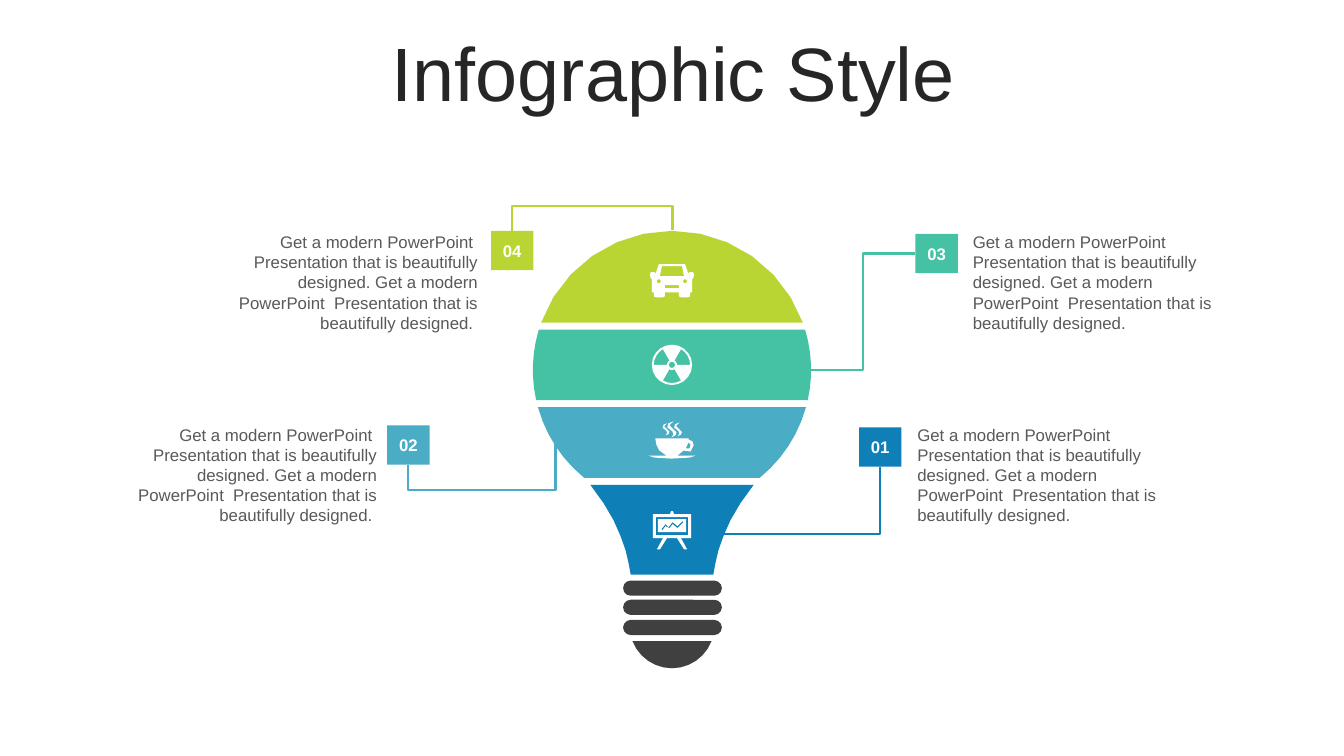
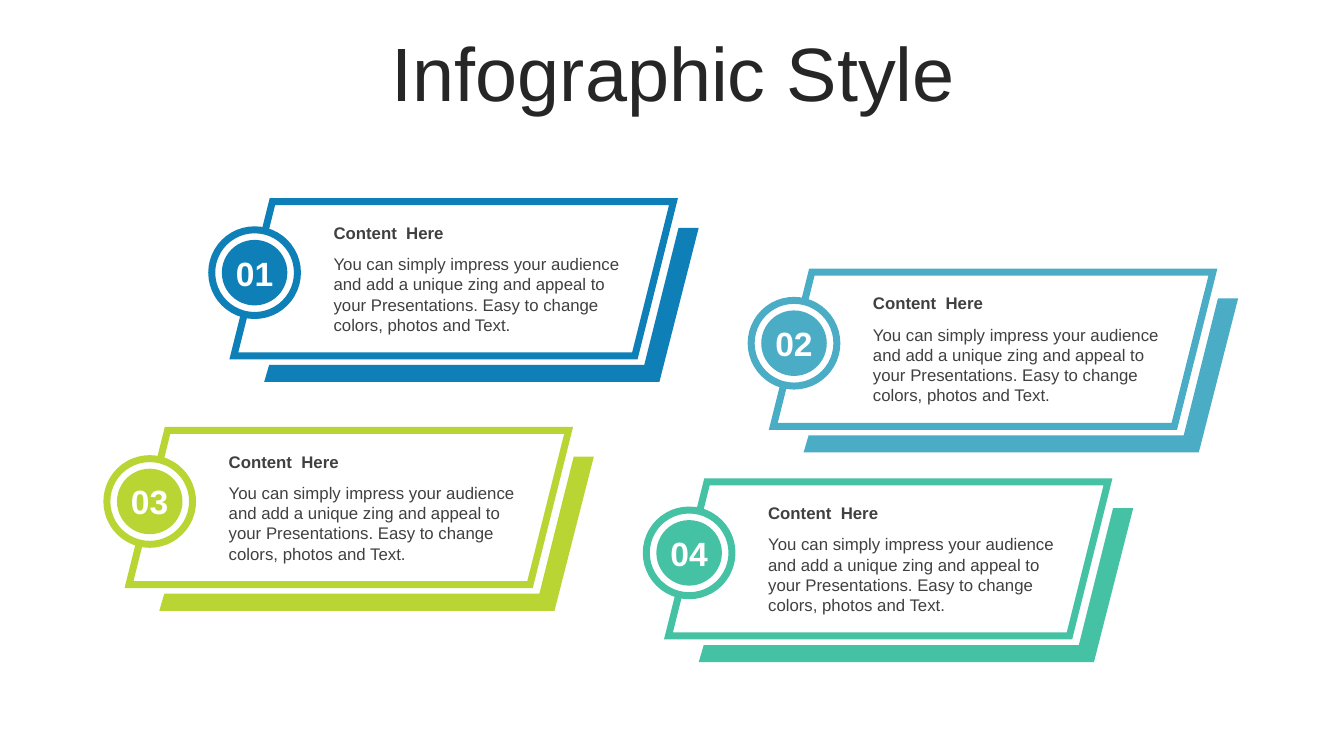
from math import asin, cos, pi, radians, sin

from lxml import etree
from pptx import Presentation
from pptx.dml.color import RGBColor
from pptx.enum import shapes as kinds, text as txt
from pptx.oxml.ns import qn
from pptx.util import Inches, Pt

BLUE = RGBColor(0x0E, 0x7F, 0xB7)
SKY = RGBColor(0x4B, 0xAC, 0xC6)
TEAL = RGBColor(0x45, 0xC1, 0xA4)
LIME = RGBColor(0xB9, 0xD5, 0x33)
WHITE = RGBColor(0xFF, 0xFF, 0xFF)
INK = RGBColor(0x26, 0x26, 0x26)
DARK = RGBColor(0x40, 0x40, 0x40)
GRAY = RGBColor(0x59, 0x59, 0x59)
KIND = kinds.MSO_SHAPE
LEFT, MID, RIGHT = txt.PP_ALIGN.LEFT, txt.PP_ALIGN.CENTER, txt.PP_ALIGN.RIGHT


def write(shape, words, size=12, color=GRAY, bold=False, align=LEFT,
          anchor=txt.MSO_ANCHOR.TOP, inset=None, before=None, space=None):
    frame = shape.text_frame
    frame.word_wrap = True
    frame.vertical_anchor = anchor
    if inset is not None:
        frame.margin_left = frame.margin_right = Inches(inset)
        frame.margin_top = frame.margin_bottom = Inches(inset)
    para = frame.paragraphs[0]
    para.alignment = align
    para.space_before = before
    para.line_spacing = space
    run = para.add_run()
    run.text = words
    run.font.name = "Arial"
    run.font.size = Pt(size)
    run.font.bold = bold
    run.font.color.rgb = color


def paint(shape, fill, edge=None):
    shape.shadow.inherit = False
    shape.fill.solid()
    shape.fill.fore_color.rgb = fill
    if edge is None:
        shape.line.fill.background()
    else:
        shape.line.color.rgb = edge
        shape.line.width = Pt(5)
        ln = shape._element.spPr.find(qn("a:ln"))
        etree.SubElement(ln, qn("a:miter"), lim="800000")
    return shape


deck = Presentation()
deck.slide_width, deck.slide_height = Inches(13.33), Inches(7.5)

# Slides with the shared title
pages = []
for _ in range(2):
    page = deck.slides.add_slide(deck.slide_layouts[6])
    title = page.shapes.add_textbox(
        Inches(0.35), Inches(0.37), Inches(12.66), Inches(0.79))
    write(title, "Infographic Style", size=54, color=INK, align=MID,
          anchor=txt.MSO_ANCHOR.MIDDLE, before=Pt(10), space=0.9)
    pages.append(page.shapes)
bulb, cards = pages

# Bulb outlines: color, halves mirrored about the axis, whole outlines
AXIS = 6.665
STEPS = 6
forms = []
for color, mid, rad, top, low in (
        (LIME, 3.67, 1.38, 2.29, 3.2), (TEAL, 3.67, 1.38, 3.27, 3.97),
        (SKY, 3.67, 1.38, 4.04, 4.74), (DARK, 6.21, 0.42, 6.36, 6.63)):
    start, end = (asin(max(-1, min(1, (y - mid) / rad))) for y in (top, low))
    turns = [start + (end - start) * i / STEPS for i in range(STEPS + 1)]
    forms.append((color, [[(rad * cos(a), mid + rad * sin(a))
                           for a in turns]], []))

neck = [(0.81, 4.81), (0.68, 4.99), (0.58, 5.16), (0.51, 5.32),
        (0.46, 5.46), (0.43, 5.59), (0.41, 5.7)]
forms.append((BLUE, [neck], []))

# Icons
ring = [2 * pi * i / 20 for i in range(20)]
lamps = [[(AXIS + x + 0.02 * cos(a), 2.79 + 0.02 * sin(a)) for a in ring[::2]]
         for x in (-0.13, 0.13)]
car = [(0.13, 2.62), (0.16, 2.71), (0.18, 2.7), (0.21, 2.7), (0.22, 2.73),
       (0.21, 2.76), (0.2, 2.77), (0.2, 2.9), (0.18, 2.9), (0.18, 2.94),
       (0.16, 2.95), (0.09, 2.95), (0.07, 2.94), (0.07, 2.9)]
forms.append((WHITE, [car, [(0.1, 2.64), (0.12, 2.74)],
                      [(0.07, 2.83), (0.07, 2.86)]], lamps))

disc = [[(AXIS + r * cos(a), 3.62 + r * sin(a)) for a in ring]
        for r in (0.2, 0.03)]
for start in (60, 180, 300):
    turns = [radians(start + 15 * i) for i in range(5)]
    disc.append([(AXIS + r * cos(a), 3.62 + r * sin(a))
                 for r, way in ((0.18, 1), (0.05, -1)) for a in turns[::way]])
forms.append((WHITE, [], disc))

cup = [(6.5, 4.35), (6.83, 4.35), (6.83, 4.36), (6.87, 4.38), (6.88, 4.42),
       (6.85, 4.48), (6.78, 4.47), (6.72, 4.52), (6.9, 4.52), (6.84, 4.54),
       (6.66, 4.55), (6.49, 4.54), (6.43, 4.52), (6.61, 4.52), (6.54, 4.47),
       (6.51, 4.41)]
grip = [(6.83, 4.39), (6.8, 4.45), (6.84, 4.45), (6.85, 4.41)]
steam = [(6.68, 4.18), (6.64, 4.22), (6.68, 4.26), (6.71, 4.29), (6.7, 4.32),
         (6.66, 4.34), (6.68, 4.31), (6.67, 4.28), (6.62, 4.24), (6.63, 4.2)]
puffs = [[(6.67 + move + (x - 6.67) * size, 4.26 + (y - 4.26) * size)
          for x, y in steam]
         for move, size in ((-0.06, 0.75), (0, 1), (0.06, 0.85))]
forms.append((WHITE, [], [cup, grip] + puffs))

easel = [(0.01, 5.07), (0.02, 5.1), (0.19, 5.1), (0.19, 5.34), (0.09, 5.34),
         (0.15, 5.45), (0.12, 5.45), (0.05, 5.34)]
trend = [(6.56, 5.25), (6.6, 5.2), (6.63, 5.23), (6.67, 5.18), (6.72, 5.22),
         (6.77, 5.17), (6.78, 5.18), (6.72, 5.24), (6.67, 5.2), (6.64, 5.24),
         (6.6, 5.22), (6.57, 5.26)]
forms.append((WHITE, [easel, [(0.16, 5.13), (0.16, 5.31)],
                      [(0.14, 5.15), (0.14, 5.28)]], [trend]))

# Numbered notes with bent leader lines
NOTE = ("Get a modern PowerPoint  Presentation that is beautifully designed. "
        "Get a modern PowerPoint  Presentation that is beautifully designed.")
WIDE, HIGH = 0.42, 0.39
for num, color, x, y, left, top, align, side, start, bend, guides in (
        ("01", BLUE, 8.52, 4.24, 9, 4.16, LEFT, 2, (7, 5.3), 2, []),
        ("02", SKY, 3.84, 4.22, 0.96, 4.16, RIGHT, 2, (5.51, 4.35), 4,
         [0, 196200]),
        ("03", TEAL, 9.08, 2.32, 9.55, 2.25, LEFT, 1, (8.04, 3.67), 3,
         [50000]),
        ("04", LIME, 4.87, 2.29, 1.96, 2.25, RIGHT, 0, (6.67, 2.28), 4,
         [0, -2400000])):
    note = bulb.add_textbox(Inches(left), Inches(top), Inches(2.88), Inches(1.11))
    write(note, NOTE + (" " if align == RIGHT else ""), align=align)
    box = paint(bulb.add_shape(KIND.RECTANGLE, Inches(x), Inches(y),
                               Inches(WIDE), Inches(HIGH)), color)
    write(box, num, color=WHITE, bold=True, align=MID,
          anchor=txt.MSO_ANCHOR.MIDDLE, inset=0)
    spot = [Inches(v) for v in start]
    line = bulb.add_connector(kinds.MSO_CONNECTOR.ELBOW, *spot, *spot)
    line.end_connect(box, side)
    line.line.color.rgb = color
    line.line.width = Pt(1.75)
    props = line._element.spPr
    etree.SubElement(props, qn("a:effectLst"))
    geom = props.find(qn("a:prstGeom"))
    geom.set("prst", f"bentConnector{bend}")
    marks = geom.find(qn("a:avLst"))
    for i, guide in enumerate(guides, 1):
        etree.SubElement(marks, qn("a:gd"), name=f"adj{i}" if bend > 3 else "adj1",
                         fmla=f"val {guide}")

# Bulb, icons and screw base
for color, halves, outlines in forms:
    paths = [[(AXIS + d, y) for d, y in half]
             + [(AXIS - d, y) for d, y in reversed(half)] for half in halves]
    paths = [[(Inches(x), Inches(y)) for x, y in path]
             for path in paths + outlines]
    pen = bulb.build_freeform(*paths[0][0])
    pen.add_line_segments(paths[0][1:])
    for path in paths[1:]:
        pen.move_to(*path[0])
        pen.add_line_segments(path[1:])
    paint(pen.convert_to_shape(), color)
for y in (5.76, 5.95, 6.15):
    bar = paint(bulb.add_shape(KIND.ROUNDED_RECTANGLE, Inches(6.18), Inches(y),
                               Inches(0.98), Inches(0.15)), DARK)
    bar.adjustments[0] = 0.5

# Slanted cards
BODY = ("You can simply impress your audience and add a unique zing and appeal "
        "to your Presentations. Easy to change colors, photos and Text.")
SHADE = [(4.41, 0.26), (4.61, 0.26), (4.22, 1.79), (0.3, 1.79), (0.35, 1.62),
         (4.07, 1.62)]
for num, color, x, y in (("01", BLUE, 2.32, 2), ("03", LIME, 1.28, 4.27),
                         ("02", SKY, 7.67, 2.7), ("04", TEAL, 6.63, 4.78)):
    paint(cards.add_shape(KIND.PARALLELOGRAM, Inches(x), Inches(y),
                          Inches(4.36), Inches(1.53)), WHITE, color)
    spots = [(Inches(x + dx), Inches(y + dy)) for dx, dy in SHADE]
    pen = cards.build_freeform(*spots[0])
    pen.add_line_segments(spots[1:])
    paint(pen.convert_to_shape(), color)
    for words, dy, high, bold in ((BODY, 0.47, 0.91, False),
                                  ("Content  Here", 0.16, 0.3, True)):
        label = cards.add_textbox(Inches(x + 0.89), Inches(y + dy),
                                  Inches(3.08), Inches(high))
        write(label, words, color=DARK, bold=bold)
    for gap, size, fill, edge in ((0, 0.85, WHITE, color),
                                  (0.1, 0.65, color, None)):
        dot = paint(cards.add_shape(KIND.OVAL, Inches(x - 0.22 + gap),
                                    Inches(y + 0.28 + gap), Inches(size),
                                    Inches(size)), fill, edge)
    write(dot, num, size=24, color=WHITE, bold=True, align=MID,
          anchor=txt.MSO_ANCHOR.MIDDLE, inset=0)

deck.save("out.pptx")
